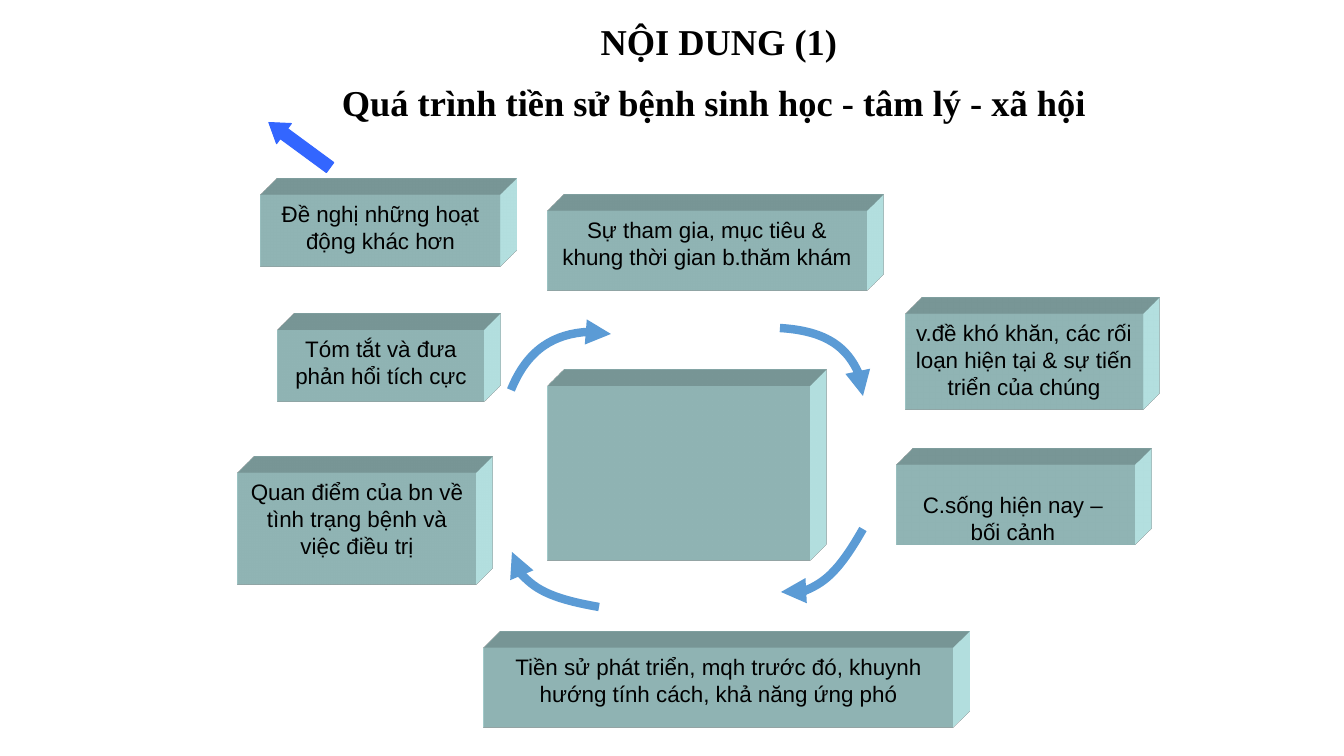
from lxml import etree
from pptx import Presentation, util as u
from pptx.dml.color import RGBColor
from pptx.enum import shapes, text
from pptx.oxml.ns import qn

PX = 914400 / 100.8


def px(value):
    return u.Emu(round(value * PX))


def colour(hex_value):
    return RGBColor.from_string(hex_value)


def write(shape, lines, font="Arial", size=16, bold=False, gap=0,
          anchor=text.MSO_ANCHOR.TOP, side=8, bottom=5):
    """Fill a shape with centred paragraphs, gap in points between them."""
    frame = shape.text_frame
    frame.word_wrap = True
    frame.vertical_anchor = anchor
    frame.margin_left = frame.margin_right = px(side)
    frame.margin_top, frame.margin_bottom = px(5), px(bottom)
    for index, line in enumerate(lines):
        paragraph = frame.add_paragraph() if index else frame.paragraphs[0]
        paragraph.alignment = text.PP_ALIGN.CENTER
        if index:
            paragraph.space_before = u.Pt(gap)
        run = paragraph.add_run()
        run.text = line
        run.font.name, run.font.size, run.font.bold = font, u.Pt(size), bold
        run.font.color.rgb = colour("000000")


class CycleSlide:
    BLOCK, CURVE, POINTER = "CCFFFF", "5B9BD5", "3366FF"

    def __init__(self, deck):
        self.shapes = deck.slides.add_slide(deck.slide_layouts[6]).shapes

    def paint(self, shape, fill):
        shape.shadow.inherit = False
        shape.fill.solid()
        shape.fill.fore_color.rgb = colour(fill)
        shape.line.fill.background()
        return shape

    def extrude(self, shape):
        """Give a shape depth towards the top right."""
        properties = shape._element.spPr
        scene = etree.SubElement(properties, qn("a:scene3d"))
        etree.SubElement(scene, qn("a:camera"), prst="legacyObliqueTopRight")
        etree.SubElement(scene, qn("a:lightRig"), rig="legacyFlat3", dir="b")
        solid = etree.SubElement(properties, qn("a:sp3d"), extrusionH="430200",
                                 prstMaterial="legacyMatte")
        for bevel in ("a:bevelT", "a:bevelB"):
            etree.SubElement(solid, qn(bevel), w="13500", h="13500", prst="angle")
        depth_colour = etree.SubElement(solid, qn("a:extrusionClr"))
        etree.SubElement(depth_colour, qn("a:srgbClr"), val=self.BLOCK)

    def title(self, x, y, w, h, lines):
        heading = self.shapes.add_textbox(*map(px, (x, y, w, h)))
        write(heading, lines, font="Times New Roman", size=26, bold=True, gap=12.5,
              anchor=text.MSO_ANCHOR.MIDDLE, bottom=10)

    def block(self, x, y, w, h, lines=(), **style):
        front = self.shapes.add_shape(shapes.MSO_SHAPE.RECTANGLE, *map(px, (x, y, w, h)))
        self.extrude(self.paint(front, self.BLOCK))
        write(front, lines, **style)

    def curved_arrow(self, *points):
        """Draw a Bézier arrow from start, two control points and end."""
        builder = self.shapes.build_freeform(*points[0], scale=PX)
        builder.add_line_segments(points[1:], close=False)
        arrow = builder.convert_to_shape()
        arrow.shadow.inherit = False
        arrow.fill.background()
        arrow.line.color.rgb = colour(self.CURVE)
        arrow.line.width = u.Pt(6)
        segments = list(arrow._element.iter(qn("a:lnTo")))
        curve = etree.SubElement(segments[0].getparent(), qn("a:cubicBezTo"))
        for segment in segments:
            curve.append(segment[0])
            segment.getparent().remove(segment)
        etree.SubElement(arrow.line._get_or_add_ln(), qn("a:tailEnd"), type="triangle")

    def pointer(self, x, y, w, h, rotation):
        arrow = self.shapes.add_shape(shapes.MSO_SHAPE.UP_ARROW, *map(px, (x, y, w, h)))
        self.paint(arrow, self.POINTER)
        arrow.line.color.rgb = colour(self.POINTER)
        arrow.line.width = u.Pt(0.75)
        arrow.adjustments[0], arrow.adjustments[1] = 0.5, 0.75
        arrow.rotation = rotation


def main():
    deck = Presentation()
    deck.slide_width, deck.slide_height = px(1344), px(756)
    slide = CycleSlide(deck)

    slide.title(326, 14, 786, 120, ["NỘI DUNG (1)",
                                    "Quá trình tiền sử bệnh sinh học - tâm lý - xã hội "])
    steps = [
        (278, 330, 206, 72, "Tóm tắt và đưa phản hổi tích cực"),
        (547, 211, 320, 80, "Sự tham gia, mục tiêu & khung thời gian b.thăm khám"),
        (484, 648, 469, 80,
         "Tiền sử phát triển, mqh trước đó, khuynh hướng tính cách, khả năng ứng phó"),
        (905, 314, 238, 96, "v.đề khó khăn, các rối loạn hiện tại & sự tiến triển của chúng"),
        (238, 473, 238, 112, "Quan điểm của bn về tình trạng bệnh và việc điều trị"),
        (261, 195, 239, 72, "Đề nghị những hoạt động khác hơn"),
    ]
    for *place, step in steps:
        slide.block(*place, [step])
    slide.block(897, 465, 238, 80, ["C.sống hiện nay – ", "bối cảnh "],
                anchor=text.MSO_ANCHOR.BOTTOM, bottom=0)
    slide.block(547, 386, 263, 175)

    slide.curved_arrow((863, 529), (837, 575), (800, 603), (781, 592))
    slide.curved_arrow((599, 607), (547, 598), (508, 574), (512, 552))
    slide.curved_arrow((511, 390), (528, 348), (571, 324), (611, 334))
    slide.curved_arrow((780, 328), (829, 331), (865, 362), (863, 396))
    slide.pointer(287, 107, 25, 76, 306.3)

    deck.save("out.pptx")


if __name__ == "__main__":
    main()
